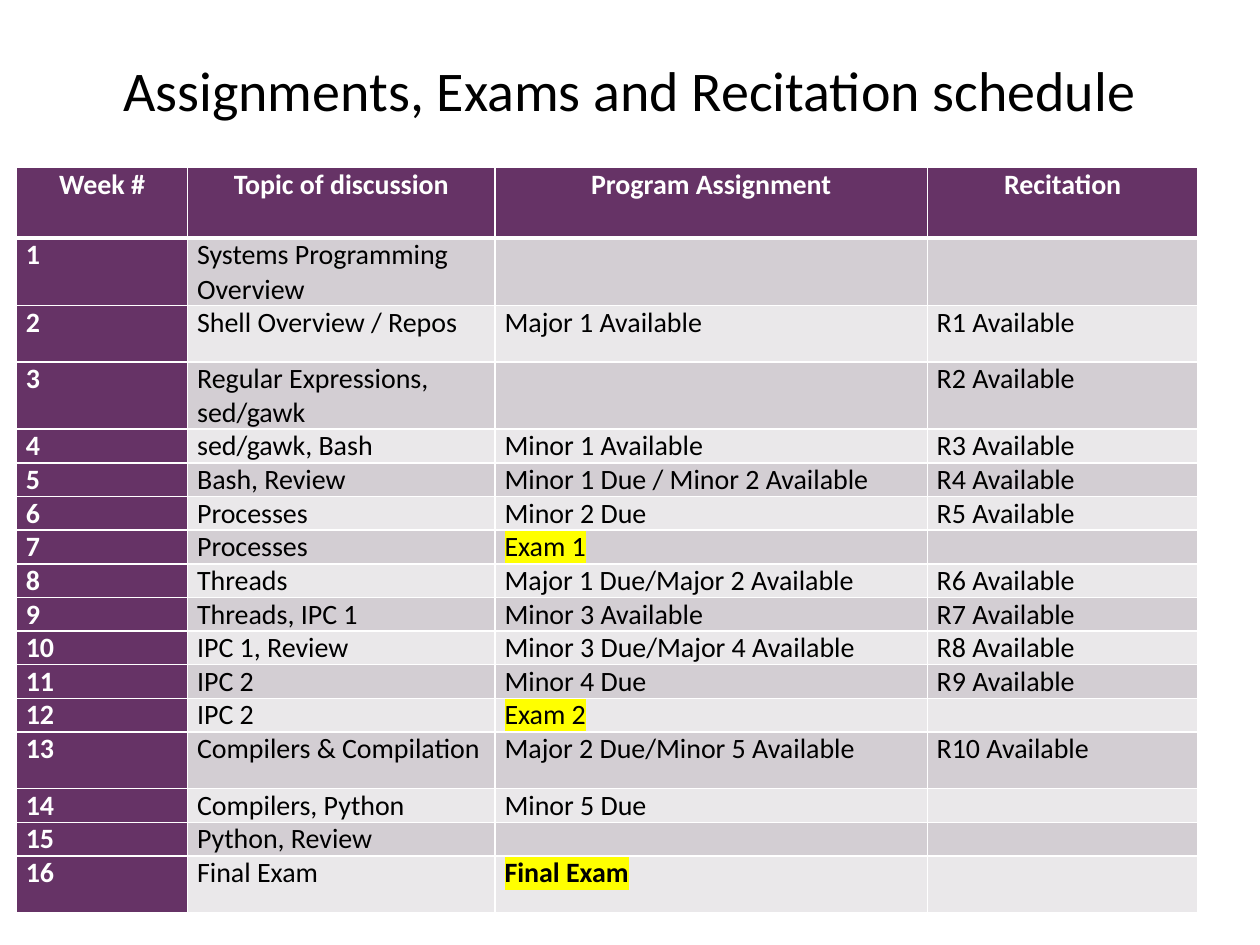
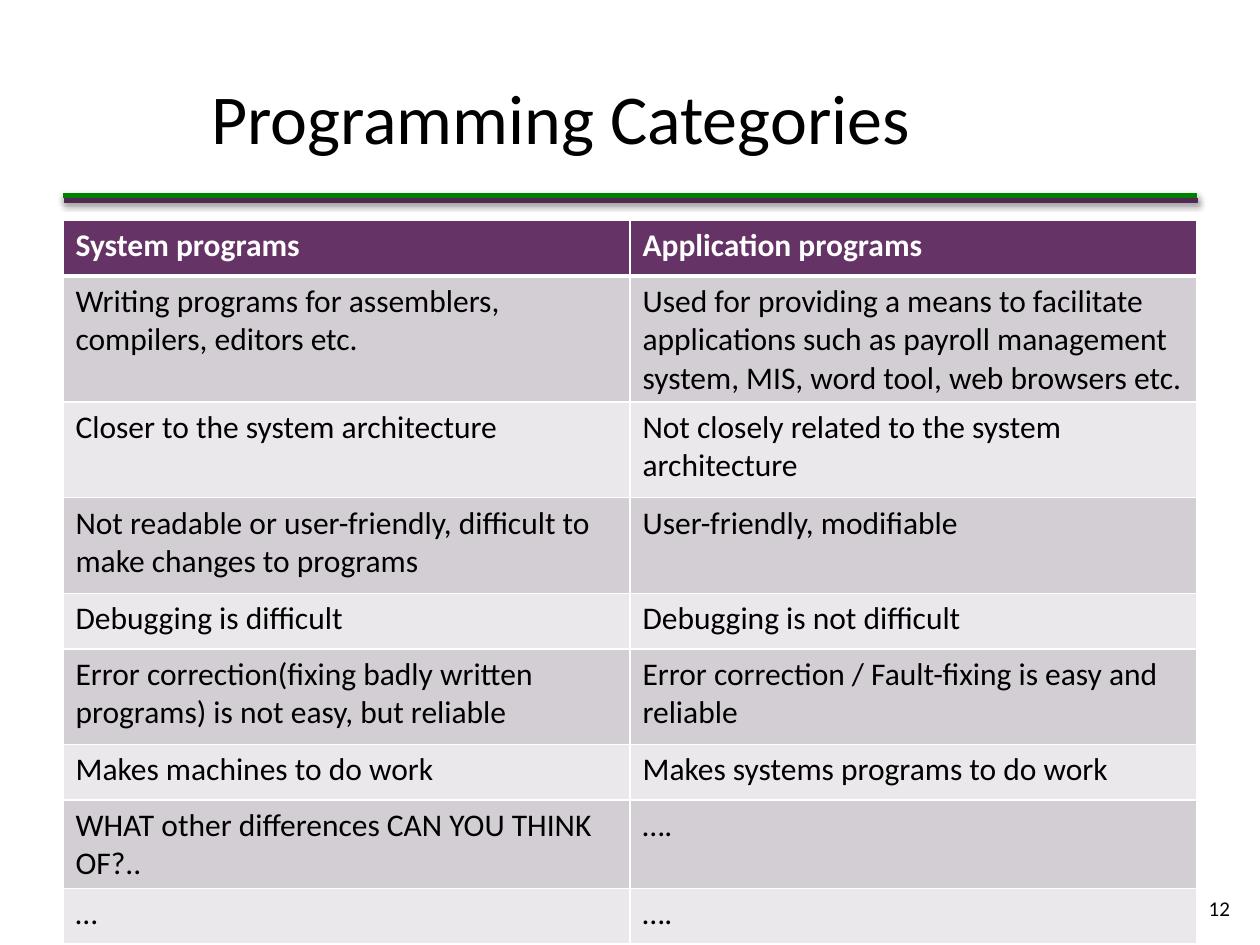
from lxml import etree
from pptx import Presentation
from pptx.dml.color import RGBColor
from pptx.enum import shapes, text
from pptx.oxml.ns import qn
from pptx.util import Emu, Inches, Pt

PURPLE = RGBColor(0x66, 0x33, 0x66)
GREEN = RGBColor(0x00, 0x80, 0x00)
BAND_DARK = RGBColor(0xD3, 0xCE, 0xD3)
BAND_LIGHT = RGBColor(0xEA, 0xE8, 0xEA)
YELLOW = RGBColor(0xFF, 0xFF, 0x00)
BLACK = RGBColor(0, 0, 0)
WHITE = RGBColor(0xFF, 0xFF, 0xFF)
FONT = "Calibri"

# The slide is a grid of 20 columns by 15 rows of equal squares
WIDTH, HEIGHT = Inches(10), Inches(7.5)
COLUMNS, ROWS = 20, 15

# Rows of the schedule: week, topic, assignment, recitation
SCHEDULE_HEAD = ["Week #", "Topic of discussion", "Program Assignment", "Recitation"]
WEEKS = [
    ("Systems Programming Overview", "", ""),
    ("Shell Overview / Repos", "Major 1 Available", "R1 Available"),
    ("Regular Expressions, sed/gawk", "", "R2 Available"),
    ("sed/gawk, Bash", "Minor 1 Available", "R3 Available"),
    ("Bash, Review", "Minor 1 Due / Minor 2 Available", "R4 Available"),
    ("Processes", "Minor 2 Due", "R5 Available"),
    ("Processes", "Exam 1", ""),
    ("Threads", "Major 1 Due/Major 2 Available", "R6 Available"),
    ("Threads, IPC 1", "Minor 3 Available", "R7 Available"),
    ("IPC 1, Review", "Minor 3 Due/Major 4 Available", "R8 Available"),
    ("IPC 2", "Minor 4 Due", "R9 Available"),
    ("IPC 2", "Exam 2", ""),
    ("Compilers & Compilation", "Major 2 Due/Minor 5 Available", "R10 Available"),
    ("Compilers, Python", "Minor 5 Due", ""),
    ("Python, Review", "", ""),
    ("Final Exam", "Final Exam", ""),
]
TALL_WEEKS = {1, 2, 3, 13, 16}

CATEGORIES = [
    ("System programs", "Application programs"),
    ("Writing programs for assemblers, compilers, editors etc.",
     "Used for providing a means to facilitate applications such as payroll "
     "management system, MIS, word tool, web browsers etc."),
    ("Closer to the system architecture",
     "Not closely related to the system architecture"),
    ("Not readable or user-friendly, difficult to make changes to programs",
     "User-friendly, modifiable"),
    ("Debugging is difficult", "Debugging is not difficult"),
    ("Error correction(fixing badly written programs) is not easy, but reliable",
     "Error correction / Fault-fixing is easy and reliable"),
    ("Makes machines to do work", "Makes systems programs to do work"),
    ("WHAT other differences CAN YOU THINK OF?..", "…."),
    ("…", "…."),
]
TWO_LINE_CATEGORIES = {1, 2, 3, 5}


def cols(n):
    return Emu(round(WIDTH * n / COLUMNS))


def rows(n):
    return Emu(round(HEIGHT * n / ROWS))


def place(box):
    x, y, w, h = box
    return cols(x), rows(y), cols(w), rows(h)


def add_run(p, words, size, color=BLACK, bold=False, highlight=None):
    r = p.add_run()
    r.text = words
    r.font.size, r.font.bold, r.font.name = Pt(size), bold, FONT
    r.font.color.rgb = color
    if highlight is not None:
        mark = etree.Element(qn("a:highlight"))
        etree.SubElement(mark, qn("a:srgbClr"), val=str(highlight))
        r.font._element.find(qn("a:solidFill")).addnext(mark)


def add_label(slide, box, words, size, align):
    tf = slide.shapes.add_textbox(*place(box)).text_frame
    tf.word_wrap = True
    tf.vertical_anchor = text.MSO_ANCHOR.MIDDLE
    p = tf.paragraphs[0]
    p.alignment = align
    add_run(p, words, size)


def add_rule(slide, x, y, width, color):
    line = slide.shapes.add_connector(
        shapes.MSO_CONNECTOR.STRAIGHT, cols(x), rows(y), cols(x + width), rows(y))
    line.line.color.rgb, line.line.width = color, Pt(3)
    # Soft shadow straight below the rule
    effects = etree.SubElement(line._element.spPr, qn("a:effectLst"))
    shadow = etree.SubElement(
        effects, qn("a:outerShdw"), blurRad=str(Pt(3.1)), dist=str(Pt(1.6)),
        dir="5400000", rotWithShape="0")
    black = etree.SubElement(shadow, qn("a:srgbClr"), val=str(BLACK))
    etree.SubElement(black, qn("a:alpha"), val="38000")


def set_borders(cell, row):
    thick = {(0, "B"), (1, "T")}
    for i, side in enumerate("LRTB"):
        width = Pt(3 if (row, side) in thick else 1)
        ln = etree.Element(qn("a:ln" + side), w=str(width))
        fill = etree.SubElement(ln, qn("a:solidFill"))
        etree.SubElement(fill, qn("a:srgbClr"), val=str(WHITE))
        cell._tc.get_or_add_tcPr().insert(i, ln)


def add_banded_table(slide, box, data, widths, heights, size,
                     head_align=None, head_column=False, margins=None,
                     exams=False):
    table = slide.shapes.add_table(len(data), len(widths), *place(box)).table
    table.first_col = head_column
    for column, width in zip(table.columns, widths):
        column.width = cols(width)
    for i, (row, height, values) in enumerate(zip(table.rows, heights, data)):
        row.height = rows(height)
        for j, (cell, words) in enumerate(zip(row.cells, values)):
            head = i == 0 or (head_column and j == 0)
            cell.fill.solid()
            cell.fill.fore_color.rgb = (
                PURPLE if head else BAND_DARK if i % 2 else BAND_LIGHT)
            set_borders(cell, i)
            if margins:
                cell.margin_left = cell.margin_right = cols(margins)
                cell.margin_top = cell.margin_bottom = 0
            p = cell.text_frame.paragraphs[0]
            if i == 0:
                p.alignment = head_align
            if words:
                # Exams stand out in the assignment column
                exam = exams and j == 2 and "Exam" in words
                add_run(p, words, size, WHITE if head else BLACK,
                        head or (exam and "Final" in words),
                        YELLOW if exam else None)
            else:
                etree.SubElement(p._p, qn("a:endParaRPr"), sz=str(size * 100))


def schedule_slide(slide):
    add_label(slide, (1, 0.16, 18, 2.5), "Assignments, Exams and Recitation schedule",
              32, text.PP_ALIGN.CENTER)
    data = [SCHEDULE_HEAD] + [(str(n), *week) for n, week in enumerate(WEEKS, 1)]
    heights = [1.12] + [0.9 if n in TALL_WEEKS else 0.44
                        for n in range(1, len(data))]
    add_banded_table(slide, (0.26, 2.66, 18.76, sum(heights)), data,
                     [2.72, 4.88, 6.86, 4.3], heights, 16,
                     head_align=text.PP_ALIGN.CENTER, head_column=True,
                     margins=0.15, exams=True)


def categories_slide(slide):
    # Title, page number and double rule
    add_rule(slide, 1.02, 3.18, 18, PURPLE)
    add_label(slide, (18.92, 14.02, 0.8, 0.8), "12", 12, text.PP_ALIGN.RIGHT)
    add_label(slide, (3.16, 0.6, 16.54, 2.5), "Programming Categories",
              40, text.PP_ALIGN.LEFT)
    add_rule(slide, 1, 3.1, 18, GREEN)
    # Comparison
    heights = [1.52 if i in TWO_LINE_CATEGORIES else 0.88
               for i in range(len(CATEGORIES))]
    add_banded_table(slide, (1, 3.5, 18, sum(heights)), CATEGORIES,
                     [9, 9], heights, 18)


def main():
    prs = Presentation()
    prs.slide_width, prs.slide_height = WIDTH, HEIGHT
    blank = prs.slide_layouts[6]
    for build in (schedule_slide, categories_slide):
        build(prs.slides.add_slide(blank))
    prs.save("out.pptx")


if __name__ == "__main__":
    main()
